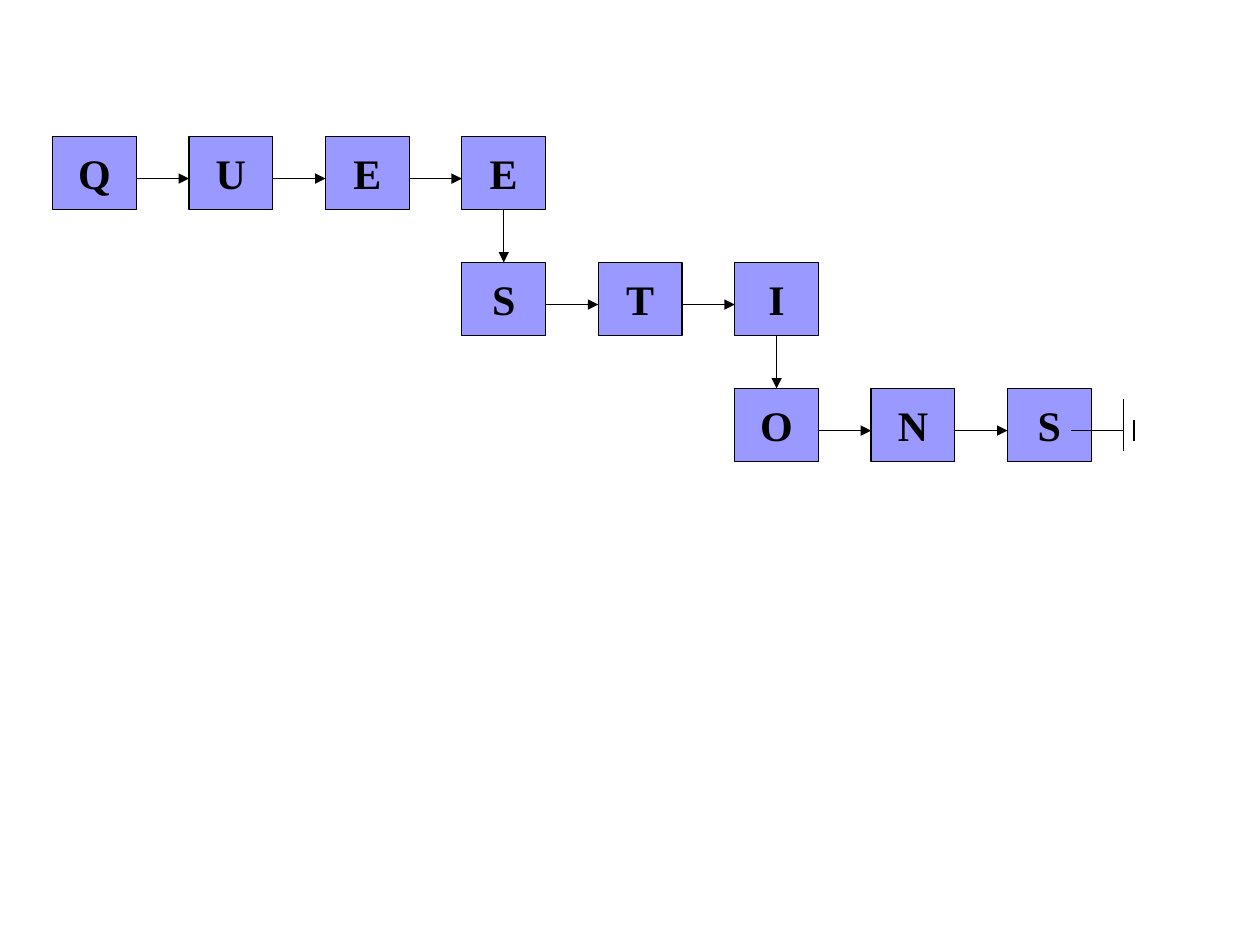
from pptx import Presentation
from pptx.dml.color import RGBColor
from pptx.enum.shapes import MSO_CONNECTOR, MSO_SHAPE
from pptx.enum.text import MSO_ANCHOR, PP_ALIGN
from pptx.oxml.ns import qn
from pptx.util import Cm, Pt
from lxml.etree import SubElement

COLORS = {"box": "9999FF", "ink": "000000"}
FONT = {"name": "Times New Roman", "size": Pt(24), "bold": True}

# Grid of letter boxes, in cm
LEFT, TOP = 1.06, 2.75
COL_STEP, ROW_STEP = 2.75, 2.54
BOX_W, BOX_H = 1.69, 1.48
ARROW_DROP = 0.85  # from the top of a box to its arrow

# First column and letters of each row
ROWS = [(0, "QUEE"), (3, "STI"), (5, "ONS")]

# Ends of the ground symbol's lines, in cm
GROUND = [
    (21.59, 8.68, 22.65, 8.68),
    (22.65, 8.04, 22.65, 9.1),
    (22.86, 8.47, 22.86, 8.89),
]


def color(name):
    return RGBColor.from_string(COLORS[name])


def add_box(s, letter, x, y):
    sp = s.shapes.add_shape(MSO_SHAPE.RECTANGLE, Cm(x), Cm(y), Cm(BOX_W), Cm(BOX_H))
    sp.shadow.inherit = False
    sp.fill.solid()
    sp.fill.fore_color.rgb = color("box")
    sp.line.color.rgb = color("ink")
    sp.line.width = Pt(0.75)
    tf = sp.text_frame
    tf.word_wrap = False
    tf.vertical_anchor = MSO_ANCHOR.MIDDLE
    p = tf.paragraphs[0]
    p.alignment = PP_ALIGN.CENTER
    r = p.add_run()
    r.text = letter
    for name, value in FONT.items():
        setattr(r.font, name, value)
    r.font.color.rgb = color("ink")
    return sp


def add_line(s, x1, y1, x2, y2, width=1, arrow=False):
    line = s.shapes.add_connector(MSO_CONNECTOR.STRAIGHT, Cm(x1), Cm(y1), Cm(x2), Cm(y2))
    line.line.color.rgb = color("ink")
    line.line.width = Pt(width)
    if arrow:
        SubElement(line.line._get_or_add_ln(), qn("a:tailEnd"), type="triangle")
    SubElement(line._element.spPr, qn("a:effectLst"))
    return line


def add_row(s, letters, x, y):
    boxes = []
    for i, letter in enumerate(letters):
        box_x = x + i * COL_STEP
        if i:
            arrow_y = y + ARROW_DROP
            add_line(s, box_x - COL_STEP + BOX_W, arrow_y, box_x, arrow_y, 0.75, True)
        boxes.append(add_box(s, letter, box_x, y))
    return boxes


def join_down(s, upper, lower):
    line = add_line(s, 0, 0, 0, 0, 0.75, True)
    line.begin_connect(upper, 2)
    line.end_connect(lower, 0)


def main():
    prs = Presentation()
    prs.slide_width, prs.slide_height = Cm(25.4), Cm(19.05)
    s = prs.slides.add_slide(prs.slide_layouts[6])

    # Rows of linked letters
    rows = [
        add_row(s, letters, LEFT + col * COL_STEP, TOP + i * ROW_STEP)
        for i, (col, letters) in enumerate(ROWS)
    ]

    # Arrows from the end of one row to the start of the next
    for upper, lower in zip(rows, rows[1:]):
        join_down(s, upper[-1], lower[0])

    # Ground symbol that ends the list
    for ends in GROUND:
        add_line(s, *ends)

    prs.save("out.pptx")


if __name__ == "__main__":
    main()
